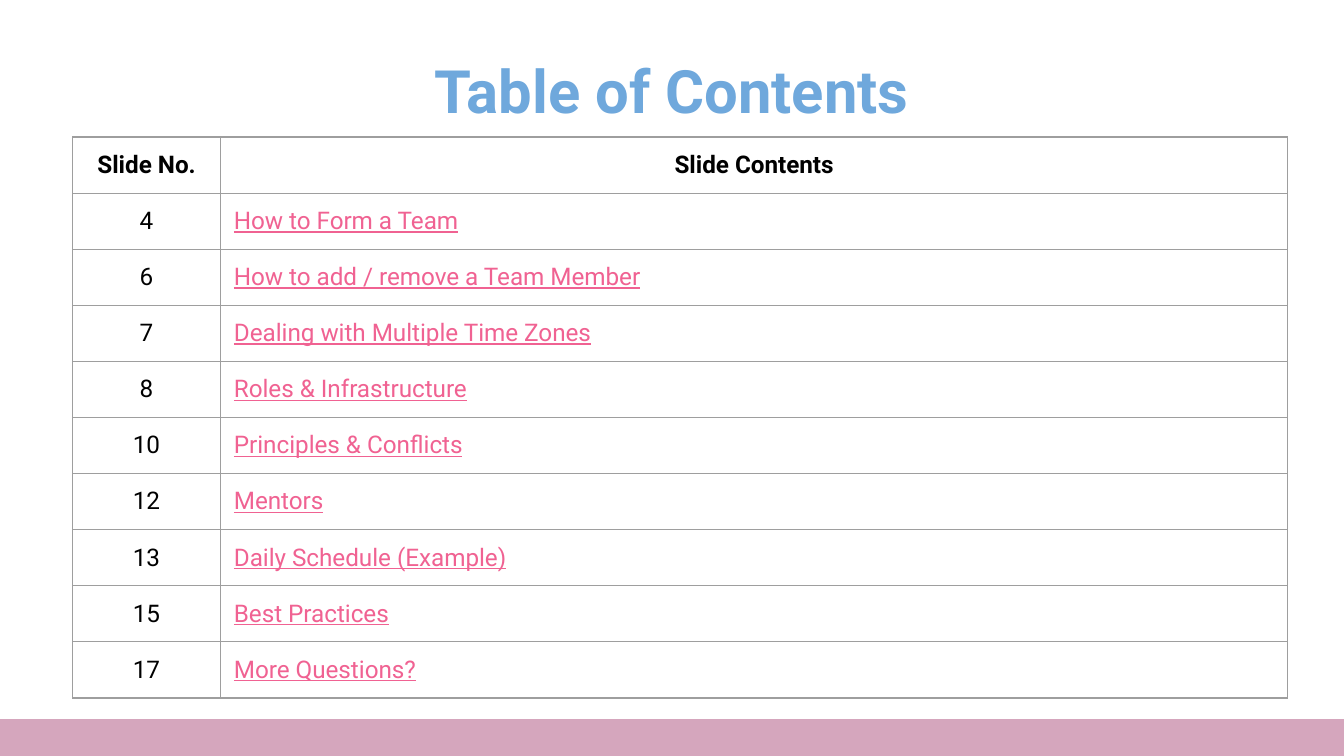
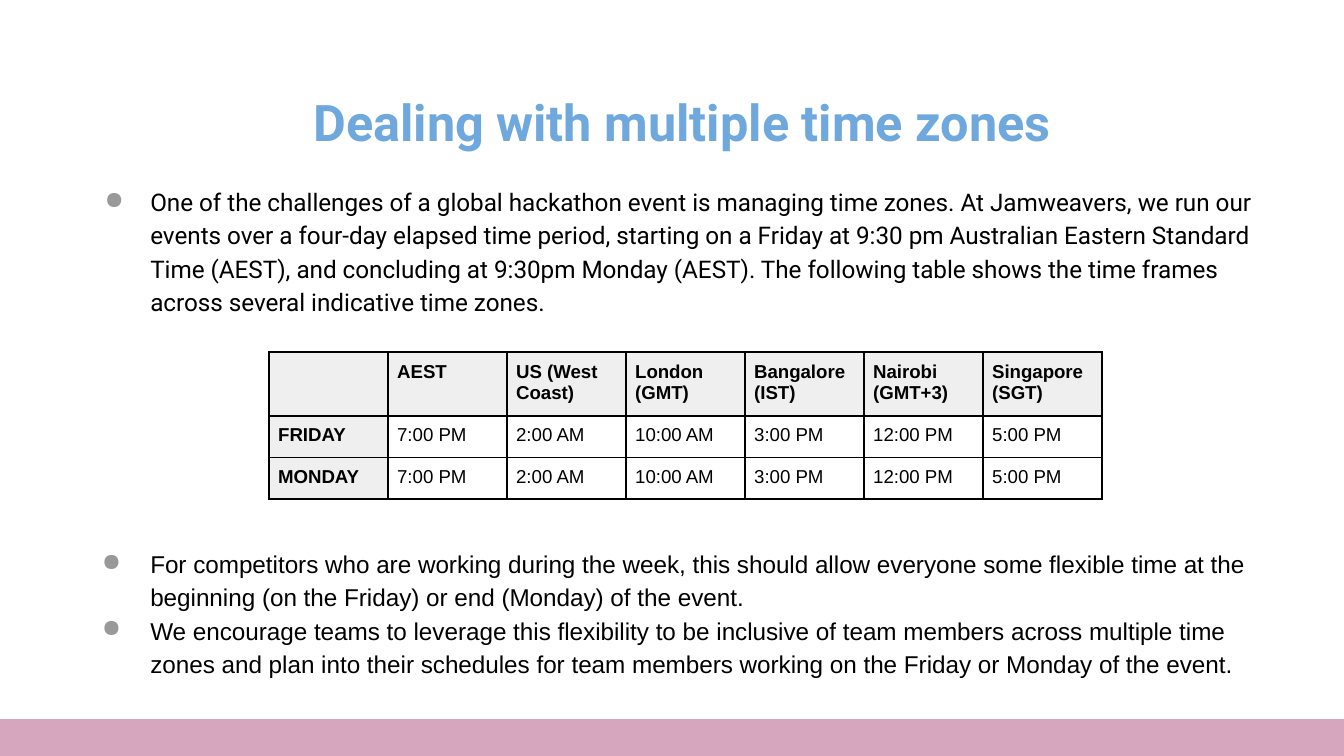
from lxml import etree
from pptx import Presentation
from pptx.dml.color import RGBColor
from pptx.enum.shapes import MSO_SHAPE
from pptx.enum.text import MSO_ANCHOR, MSO_AUTO_SIZE, PP_ALIGN
from pptx.oxml.ns import qn
from pptx.util import Inches, Pt

LEFT, CENTER = PP_ALIGN.LEFT, PP_ALIGN.CENTER
TOP, MIDDLE = MSO_ANCHOR.TOP, MSO_ANCHOR.MIDDLE
FIT_SHAPE = MSO_AUTO_SIZE.SHAPE_TO_FIT_TEXT
RECTANGLE = MSO_SHAPE.RECTANGLE

BLACK = RGBColor(0x00, 0x00, 0x00)
BLUE = RGBColor(0x6F, 0xA8, 0xDC)
PINK = RGBColor(0xF0, 0x62, 0x92)
BAND_PINK = RGBColor(0xD5, 0xA6, 0xBD)
BULLET_GREY = RGBColor(0x99, 0x99, 0x99)
BORDER_GREY = RGBColor(0x9E, 0x9E, 0x9E)
HEADER_GREY = RGBColor(0xEF, 0xEF, 0xEF)

TITLE_ONLY = 5
SLIDE_WIDTH, SLIDE_HEIGHT = 10, 5.625
BAND_TOP = 5.35

CONTENTS = [
    ("4", "How to Form a Team"),
    ("6", "How to add / remove a Team Member"),
    ("7", "Dealing with Multiple Time Zones"),
    ("8", "Roles & Infrastructure"),
    ("10", "Principles & Conflicts"),
    ("12", "Mentors"),
    ("13", "Daily Schedule (Example)"),
    ("15", "Best Practices"),
    ("17", "More Questions?"),
]
ZONES = ["AEST", "US (West Coast)", "London (GMT)", "Bangalore (IST)",
         "Nairobi (GMT+3)", "Singapore (SGT)"]
TIMES = ["7:00 PM", "2:00 AM", "10:00 AM", "3:00 PM", "12:00 PM", "5:00 PM"]
CHALLENGE = (
    "One of the challenges of a global hackathon event is managing time zones. "
    "At Jamweavers, we run our events over a four-day elapsed time period, "
    "starting on a Friday at 9:30 pm Australian Eastern Standard Time (AEST), "
    "and concluding at 9:30pm Monday (AEST). The following table shows the time "
    "frames across several indicative time zones.")
FLEXIBLE_TIME = (
    "For competitors who are working during the week, this should allow everyone "
    "some flexible time at the beginning (on the Friday) or end (Monday) of the event.")
INCLUSIVE_TEAMS = (
    "We encourage teams to leverage this flexibility to be inclusive of team members "
    "across multiple time zones and plan into their schedules for team members "
    "working on the Friday or Monday of the event.")


def write(paragraph, text, size=13, font="Roboto", color=BLACK, bold=False,
          underline=False, align=LEFT):
    paragraph.alignment = align
    run = paragraph.add_run()
    run.text = text
    run.font.size = Pt(size)
    run.font.name = font
    run.font.color.rgb = color
    run.font.bold = bold
    run.font.underline = underline


def set_insets(target, inset):
    target.margin_left = target.margin_right = Inches(inset)
    target.margin_top = target.margin_bottom = Inches(inset)


def add_color(parent, color):
    etree.SubElement(parent, qn("a:srgbClr"), val=str(color))


class Deck:
    """Shared style and the slide being built."""

    def __init__(self):
        self.prs = Presentation()
        self.prs.slide_width = Inches(SLIDE_WIDTH)
        self.prs.slide_height = Inches(SLIDE_HEIGHT)
        self.slide = None

    def start_slide(self, title, left, top, width, height, size):
        self.slide = self.prs.slides.add_slide(self.prs.slide_layouts[TITLE_ONLY])
        self.band()
        heading = self.slide.shapes.title
        heading.left, heading.top = Inches(left), Inches(top)
        heading.width, heading.height = Inches(width), Inches(height)
        frame = heading.text_frame
        frame.word_wrap = True
        frame.auto_size = FIT_SHAPE
        frame.vertical_anchor = TOP
        set_insets(frame, 0.1)
        write(frame.paragraphs[0], title, size=size, color=BLUE, bold=True, align=CENTER)

    def band(self):
        band = self.slide.shapes.add_shape(
            RECTANGLE, 0, Inches(BAND_TOP),
            Inches(SLIDE_WIDTH), Inches(SLIDE_HEIGHT - BAND_TOP))
        band.shadow.inherit = False
        band.fill.solid()
        band.fill.fore_color.rgb = BAND_PINK
        band.line.fill.background()

    def bullets(self, left, top, width, height, items):
        """Each item is (text, font, hanging indent, points before)."""
        frame = self.slide.shapes.add_textbox(
            Inches(left), Inches(top), Inches(width), Inches(height)).text_frame
        frame.word_wrap = True
        set_insets(frame, 0.1)
        for i, (text, font, hanging, before) in enumerate(items):
            paragraph = frame.add_paragraph() if i else frame.paragraphs[0]
            write(paragraph, text, font=font)
            paragraph.line_spacing = 1.15
            paragraph.space_before = Pt(before)
            props = paragraph._p.get_or_add_pPr()
            props.set("marL", str(Inches(0.5)))
            props.set("indent", str(-Inches(hanging)))
            add_color(etree.SubElement(props, qn("a:buClr")), BULLET_GREY)
            etree.SubElement(props, qn("a:buChar"), char="●")

    def table(self, left, top, widths, heights, border, border_width):
        table = self.slide.shapes.add_table(
            len(heights), len(widths), Inches(left), Inches(top),
            Inches(sum(widths)), Inches(sum(heights))).table
        table.first_row = table.horz_banding = False
        for column, width in zip(table.columns, widths):
            column.width = Inches(width)
        for row, height in zip(table.rows, heights):
            row.height = Inches(height)
        for cell in table.iter_cells():
            props = cell._tc.get_or_add_tcPr()
            for side in ("a:lnL", "a:lnR", "a:lnT", "a:lnB"):
                line = etree.SubElement(props, qn(side), w=str(Pt(border_width)))
                add_color(etree.SubElement(line, qn("a:solidFill")), border)
            cell.fill.background()
        return table

    def cell(self, cell, text, inset, anchor=TOP, fill=None, **text_format):
        set_insets(cell, inset)
        cell.vertical_anchor = anchor
        if fill is not None:
            cell.fill.solid()
            cell.fill.fore_color.rgb = fill
        write(cell.text_frame.paragraphs[0], text, **text_format)


def build_contents(deck):
    deck.start_slide("Table of Contents", 2.3, 0.3, 5.4, 0.74, size=32)
    rows = [("Slide No.", "Slide Contents")] + CONTENTS
    contents = deck.table(0.54, 1.02, [1.1, 7.94], [4.17 / len(rows)] * len(rows),
                          BORDER_GREY, 0.75)
    for r, (number, topic) in enumerate(rows):
        header = r == 0
        topic_format = ({"bold": True, "align": CENTER} if header
                        else {"color": PINK, "underline": True})
        deck.cell(contents.cell(r, 0), number, 0.1, MIDDLE, bold=header, align=CENTER)
        deck.cell(contents.cell(r, 1), topic, 0.1, MIDDLE, **topic_format)


def build_time_zones(deck):
    deck.start_slide("Dealing with multiple time zones", 2.22, 0.58, 5.71, 0.66, size=27)
    # The wide space before the second bullet leaves room for the table
    deck.bullets(0.52, 1.26, 9.16, 3.93, [
        (CHALLENGE, "Roboto", 0.34, 10),
        (FLEXIBLE_TIME, "Arial", 0.36, 122),
        (INCLUSIVE_TEAMS, "Arial", 0.36, 0),
    ])
    rows = [[""] + ZONES, ["FRIDAY"] + TIMES, ["MONDAY"] + TIMES]
    schedule = deck.table(2, 2.62, [6.2 / 7] * 7, [0.47, 0.31, 0.31], BLACK, 1)
    for r, row in enumerate(rows):
        for c, text in enumerate(row):
            header = r == 0 or c == 0
            deck.cell(schedule.cell(r, c), text, 0.07, size=10, font="Arial",
                      bold=header, fill=HEADER_GREY if header else None)


def main():
    deck = Deck()
    build_contents(deck)
    build_time_zones(deck)
    deck.prs.save("out.pptx")


if __name__ == "__main__":
    main()
